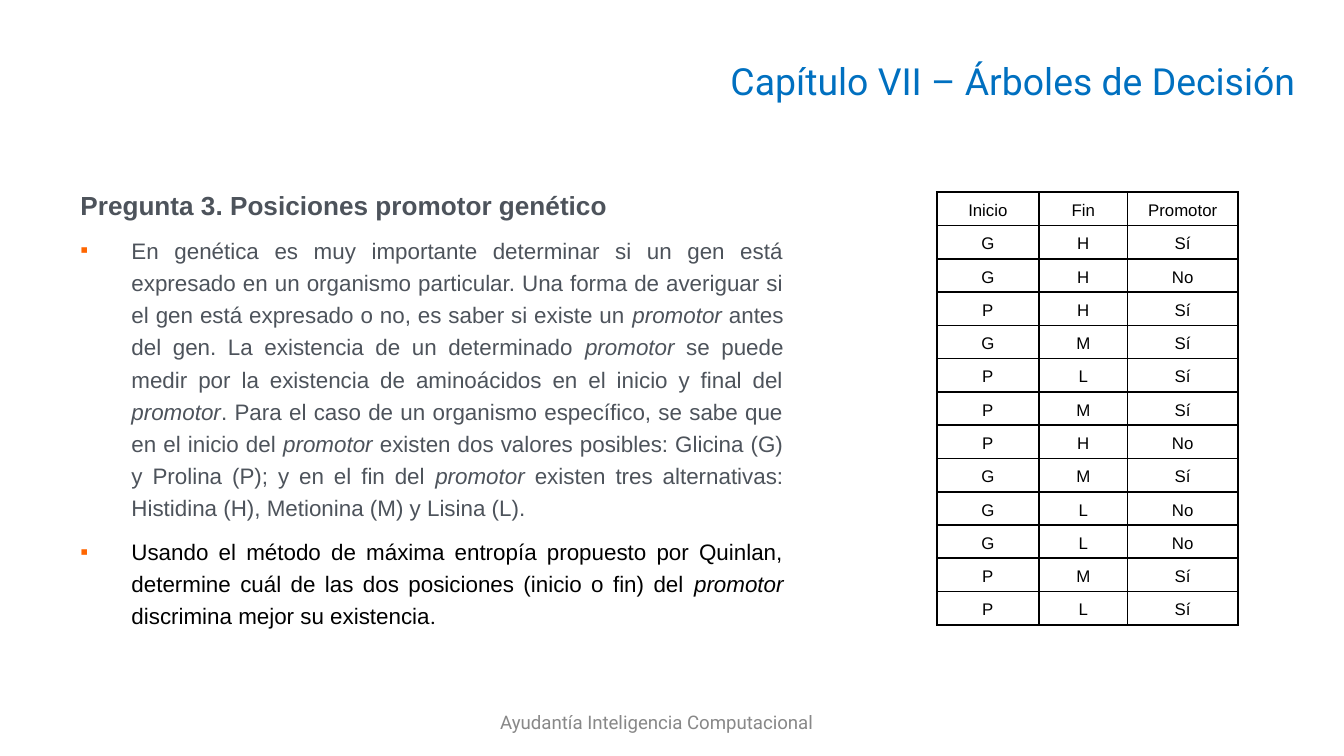
"""Build the slide on decision trees with the promoter question and its data table."""
from lxml import etree
from pptx import Presentation
from pptx.dml.color import RGBColor
from pptx.enum.text import MSO_ANCHOR as Anchor, PP_ALIGN as Align
from pptx.oxml.ns import qn
from pptx.util import Inches, Pt

BLACK = RGBColor(0x00, 0x00, 0x00)
BLUE = RGBColor(0x00, 0x70, 0xC0)
GRAY = RGBColor(0x88, 0x88, 0x88)
SLATE = RGBColor(0x4D, 0x53, 0x5B)
ORANGE = RGBColor(0xFF, 0x66, 0x00)


def add_run(paragraph, text, size, color, font="Arial", bold=False, italic=False):
    run = paragraph.add_run()
    run.text = text
    run.font.name = font
    run.font.size = Pt(size)
    run.font.color.rgb = color
    run.font.bold = bold
    run.font.italic = italic


def add_text_frame(left, top, width, height, anchor):
    box = slide.shapes.add_textbox(Inches(left), Inches(top), Inches(width), Inches(height))
    box.text_frame.word_wrap = True
    box.text_frame.vertical_anchor = anchor
    return box.text_frame


prs = Presentation()
prs.slide_width = Inches(10)
prs.slide_height = Inches(10) * 9 // 16
slide = prs.slides.add_slide(prs.slide_layouts[6])

title = add_text_frame(2.09, 0.29, 7.65, 0.62, Anchor.MIDDLE).paragraphs[0]
title.alignment = Align.RIGHT
add_run(title, "Capítulo VII – Árboles de Decisión", 20, BLUE, "Roboto")

examples = [("Inicio", "Fin", "Promotor")] + [
    (start, end, "Sí" if present else "No")
    for start, end, present in zip("GGPGPPPGGGPP", "HHHMLMHMLLML", (1, 0, 1, 1, 1, 1, 0, 1, 0, 0, 1, 1))
]
column_widths = [0.76, 0.66, 0.82]
table_height = Inches(3.22)
promoters = slide.shapes.add_table(
    len(examples), len(column_widths), Inches(6.97), Inches(1.43), Inches(sum(column_widths)), table_height
).table
promoters.first_row = False
promoters.horz_banding = False
for column, width in zip(promoters.columns, column_widths):
    column.width = Inches(width)
for row, example in zip(promoters.rows, examples):
    row.height = table_height // len(examples)
    for cell, value in zip(row.cells, example):
        cell.margin_left = cell.margin_right = Inches(0.07)
        cell.margin_top = Inches(0.04)
        cell.margin_bottom = Inches(0.02)
        entry = cell.text_frame.paragraphs[0]
        entry.alignment = Align.CENTER
        entry.line_spacing = 1.2
        add_run(entry, value, 9, BLACK)
        cell_props = cell._tc.get_or_add_tcPr()
        for side in ("lnL", "lnR", "lnT", "lnB"):
            border = etree.SubElement(cell_props, qn(f"a:{side}"), w=str(Pt(1)))
            border_fill = etree.SubElement(border, qn("a:solidFill"))
            etree.SubElement(border_fill, qn("a:srgbClr"), val=str(BLACK))
        cell.fill.background()

footer = add_text_frame(2.05, 5.18, 5.67, 0.39, Anchor.MIDDLE).paragraphs[0]
footer.alignment = Align.CENTER
add_run(footer, "Ayudantía Inteligencia Computacional", 10, GRAY, "Roboto")

question = add_text_frame(0.5, 1.31, 5.43, 3.71, Anchor.TOP)
heading = question.paragraphs[0]
heading.alignment = Align.JUSTIFY
heading.line_spacing = 1.2
add_run(heading, "Pregunta 3. Posiciones promotor genético ", 14, SLATE, bold=True)

points = [
    (
        "En genética es muy importante determinar si un gen está expresado en un organismo particular. "
        "Una forma de averiguar si el gen está expresado o no, es saber si existe un *promotor* antes del gen. "
        "La existencia de un determinado *promotor* se puede medir por la existencia de aminoácidos en el inicio "
        "y final del *promotor*. Para el caso de un organismo específico, se sabe que en el inicio del *promotor* "
        "existen dos valores posibles: Glicina (G) y Prolina (P); y en el fin del *promotor* existen tres "
        "alternativas: Histidina (H), Metionina (M) y Lisina (L).",
        SLATE,
    ),
    (
        "Usando el método de máxima entropía propuesto por Quinlan, determine cuál de las dos posiciones "
        "(inicio o fin) del *promotor* discrimina mejor su existencia",
        BLACK,
    ),
]
for text, color in points:
    point = question.add_paragraph()
    point.alignment = Align.JUSTIFY
    point.line_spacing = 1.2
    point.space_before = Pt(6)
    point_props = point._p.get_or_add_pPr()
    point_props.set("marL", str(Inches(0.38)))
    point_props.set("indent", str(-Inches(0.38)))
    bullet_color = etree.SubElement(point_props, qn("a:buClr"))
    etree.SubElement(bullet_color, qn("a:srgbClr"), val=str(ORANGE))
    etree.SubElement(point_props, qn("a:buFont"), typeface="Arial")
    etree.SubElement(point_props, qn("a:buChar"), char="▪")
    for index, part in enumerate(text.split("*")):
        add_run(point, part, 12, color, italic=index % 2 == 1)
add_run(point, ".", 12, BLACK, "Roboto")

prs.save("out.pptx")
